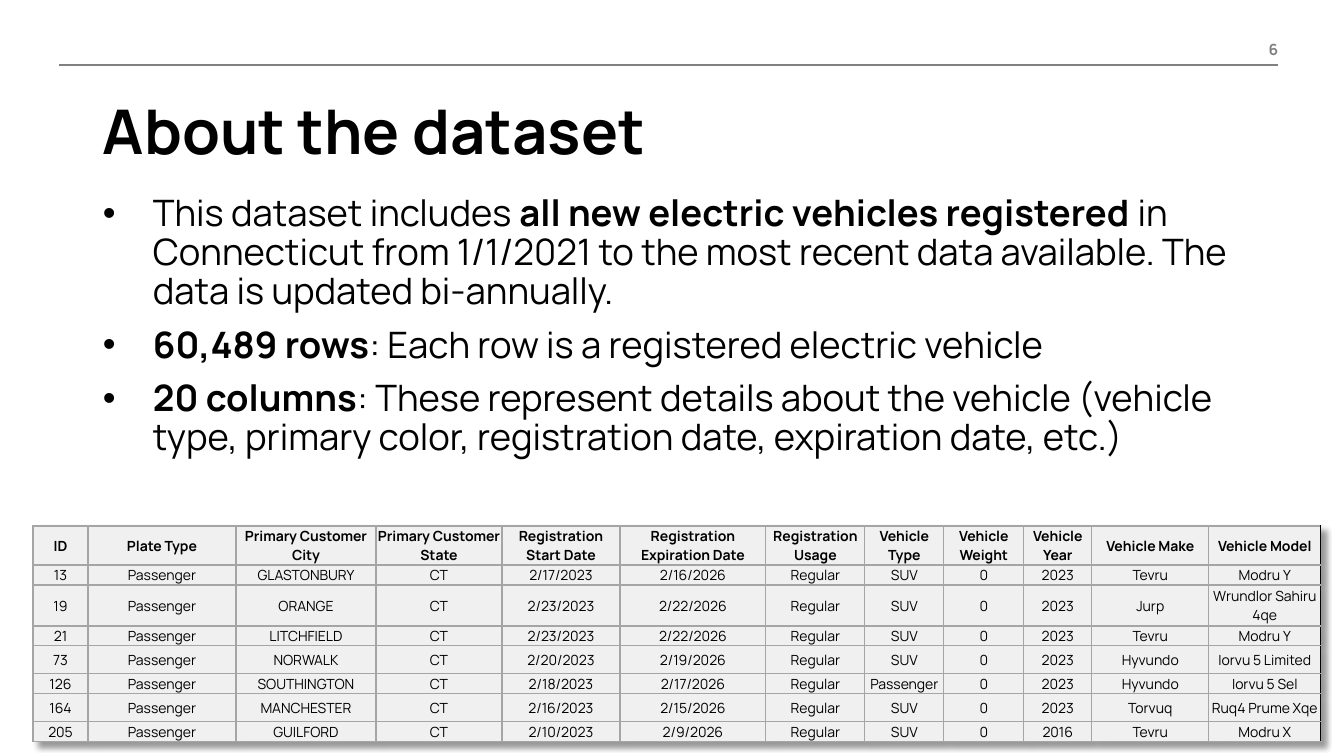
"""Build the "About the dataset" slide with its sample table of vehicle registrations."""
from lxml import etree
from pptx import Presentation
from pptx.dml.color import RGBColor
from pptx.enum.shapes import MSO_CONNECTOR
from pptx.enum.text import MSO_ANCHOR, PP_ALIGN
from pptx.oxml import parse_xml
from pptx.oxml.ns import nsdecls, qn
from pptx.util import Pt

LEFT, CENTER, RIGHT = PP_ALIGN.LEFT, PP_ALIGN.CENTER, PP_ALIGN.RIGHT
TOP, MIDDLE, BOTTOM = MSO_ANCHOR.TOP, MSO_ANCHOR.MIDDLE, MSO_ANCHOR.BOTTOM
STRAIGHT = MSO_CONNECTOR.STRAIGHT
EMU_PER_PX = 914400 / 100.8
FONT = "Manrope"
COLORS = {"ink": "000000", "muted": "808080", "cell": "F0F0F0", "grid": "A5A5A5"}

TITLE = "About the dataset"
PAGE = "6"
POINTS = [
    [("This dataset includes ", False), ("all new electric vehicles registered ", True),
     ("in Connecticut from 1/1/2021 to the most recent data available. "
      "The data is updated bi-annually.", False)],
    [("60,489 rows", True), (": Each row is a registered electric vehicle", False)],
    [("20 columns", True),
     (": These represent details about the vehicle (vehicle type, primary color, "
      "registration date, expiration date, etc.)", False)],
]
COLUMNS = [
    ("ID", 55), ("Plate Type", 148), ("Primary Customer City", 140),
    ("Primary Customer State", 126), ("Registration Start Date", 118),
    ("Registration Expiration Date", 146), ("Registration Usage", 99),
    ("Vehicle Type", 79), ("Vehicle Weight", 80), ("Vehicle Year", 68),
    ("Vehicle Make", 117), ("Vehicle Model", 112),
]
VEHICLES = [
    ("13", "GLASTONBURY", "2/17/2023", "2/16/2026", "SUV", "2023", "Tevru", "Modru Y"),
    ("19", "ORANGE", "2/23/2023", "2/22/2026", "SUV", "2023", "Jurp", "Wrundlor Sahiru 4qe"),
    ("21", "LITCHFIELD", "2/23/2023", "2/22/2026", "SUV", "2023", "Tevru", "Modru Y"),
    ("73", "NORWALK", "2/20/2023", "2/19/2026", "SUV", "2023", "Hyvundo", "Iorvu 5 Limited"),
    ("126", "SOUTHINGTON", "2/18/2023", "2/17/2026", "Passenger", "2023", "Hyvundo", "Iorvu 5 Sel"),
    ("164", "MANCHESTER", "2/16/2023", "2/15/2026", "SUV", "2023", "Torvuq", "Ruq4 Prume Xqe"),
    ("205", "GUILFORD", "2/10/2023", "2/9/2026", "SUV", "2016", "Tevru", "Modru X"),
]
PLATE, STATE, USAGE, WEIGHT = "Passenger", "CT", "Regular", "0"
ROW_HEIGHTS = [39, 20, 41, 20, 28, 20, 28, 20]


def px(length):
    return round(length * EMU_PER_PX)


def write(frame, paragraphs, size, color="ink", align=LEFT, spacing=None, before=0, bullet=False):
    """Fill a text frame with paragraphs of (text, bold) runs."""
    frame.word_wrap = True
    for index, runs in enumerate(paragraphs):
        paragraph = frame.paragraphs[0] if index == 0 else frame.add_paragraph()
        paragraph.alignment = align
        paragraph.space_before = Pt(before)
        if spacing:
            paragraph.line_spacing = spacing
        if bullet:
            properties = paragraph._p.get_or_add_pPr()
            properties.set("marL", str(px(50)))
            properties.set("indent", str(px(-50)))
            properties.append(parse_xml(f'<a:buFont {nsdecls("a")} typeface="Arial"/>'))
            properties.append(parse_xml(f'<a:buChar {nsdecls("a")} char="•"/>'))
        for text, bold in runs:
            run = paragraph.add_run()
            run.text = text
            run.font.name = FONT
            run.font.size = Pt(size)
            run.font.bold = bold
            run.font.color.rgb = RGBColor.from_string(COLORS[color])


def add_text(slide, box, paragraphs, anchor=TOP, **text_format):
    frame = slide.shapes.add_textbox(*map(px, box)).text_frame
    frame.vertical_anchor = anchor
    write(frame, paragraphs, **text_format)


def add_rule(slide):
    rule = slide.shapes.add_connector(STRAIGHT, px(1278), px(65), px(59), px(65))
    rule.line.color.rgb = RGBColor.from_string(COLORS["muted"])
    rule.line.width = Pt(1.5)
    etree.SubElement(rule._element.spPr, qn("a:effectLst"))


def style_cell(cell, right_color):
    cell.fill.solid()
    cell.fill.fore_color.rgb = RGBColor.from_string(COLORS["cell"])
    cell.vertical_anchor = MIDDLE
    cell.margin_left = cell.margin_right = cell.margin_top = px(1)
    cell.margin_bottom = 0
    sides = {"lnL": "grid", "lnR": right_color, "lnT": "grid", "lnB": "grid"}
    for position, (side, color) in enumerate(sides.items()):
        cell._tc.tcPr.insert(position, parse_xml(
            f'<a:{side} {nsdecls("a")} w="{Pt(1)}"><a:solidFill>'
            f'<a:srgbClr val="{COLORS[color]}"/></a:solidFill></a:{side}>'))


def add_vehicle_table(slide):
    rows = [[heading for heading, _ in COLUMNS]]
    for number, city, start, end, kind, year, make, model in VEHICLES:
        rows.append([number, PLATE, city, STATE, start, end, USAGE, kind, WEIGHT, year, make, model])
    widths = [width for _, width in COLUMNS]
    table = slide.shapes.add_table(len(rows), len(widths), px(33), px(526),
                                   px(sum(widths)), px(sum(ROW_HEIGHTS))).table
    table.first_row = table.horz_banding = False
    table._tbl.tblPr.insert(0, parse_xml(
        f'<a:effectLst {nsdecls("a")}><a:outerShdw blurRad="{px(5)}" dist="{px(6)}" '
        f'dir="2700000" algn="tl" rotWithShape="0"><a:srgbClr val="{COLORS["ink"]}">'
        '<a:alpha val="40000"/></a:srgbClr></a:outerShdw></a:effectLst>'))
    for column, width in zip(table.columns, widths):
        column.width = px(width)
    for row_index, (row, height) in enumerate(zip(rows, ROW_HEIGHTS)):
        table.rows[row_index].height = px(height)
        for column_index, text in enumerate(row):
            cell = table.cell(row_index, column_index)
            style_cell(cell, "ink" if column_index == len(row) - 1 else "grid")
            write(cell.text_frame, [[(text, row_index == 0)]], size=10, align=CENTER)


def main():
    deck = Presentation()
    deck.slide_width, deck.slide_height = px(1344), px(756)
    slide = deck.slides.add_slide(deck.slide_layouts[6])
    add_rule(slide)
    add_text(slide, (93, 96, 1186, 81), [[(TITLE, True)]], size=44, spacing=0.9)
    add_text(slide, (93, 190, 1186, 323), POINTS, size=26, spacing=0.9, before=10, bullet=True)
    add_text(slide, (1234, 26, 54, 38), [[(PAGE, True)]], anchor=BOTTOM, size=11,
             color="muted", align=RIGHT)
    add_vehicle_table(slide)
    deck.save("out.pptx")


if __name__ == "__main__":
    main()
